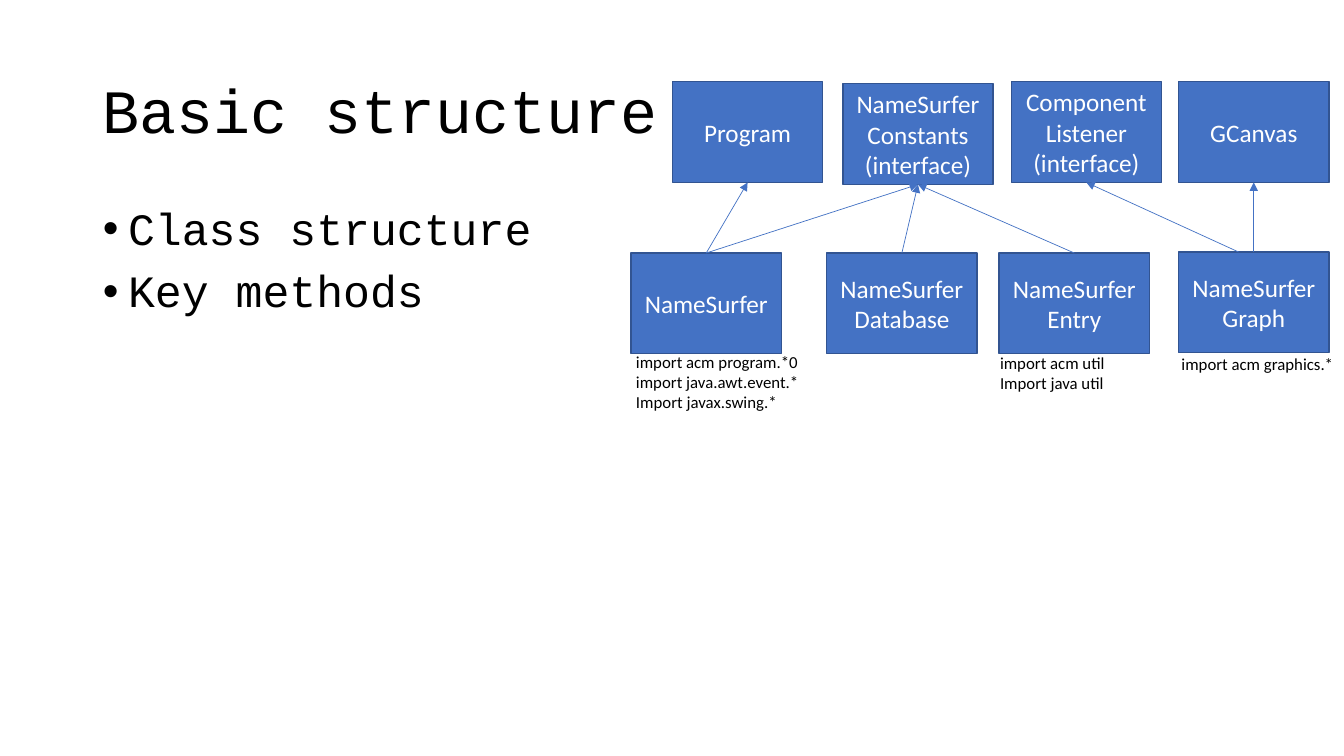
from pptx import Presentation
from pptx.dml.color import RGBColor
from pptx.enum.shapes import MSO_CONNECTOR as Conn, MSO_SHAPE as Shape
from pptx.enum.text import MSO_ANCHOR as Anchor, MSO_AUTO_SIZE as Auto, PP_ALIGN as Align
from pptx.oxml.ns import qn
from pptx.util import Inches, Pt
from lxml.etree import SubElement as Sub

BLUE = RGBColor(0x44, 0x72, 0xC4)
EDGE = RGBColor(0x32, 0x54, 0x91)
WHITE = RGBColor(255, 255, 255)
BLACK = RGBColor(0, 0, 0)
BOX_W, BOX_H = 1.49, 1
NOTE_W, NOTE_LINE = 2.73, 0.2

# Name, left, top
PARENTS = [
    ("Program", 6.67, 0.81),
    ("NameSurferConstants\n(interface)", 8.36, 0.83),
    ("ComponentListener\n(interface)", 10.03, 0.81),
    ("GCanvas", 11.69, 0.81),
]
CLASSES = [
    ("NameSurfer", 6.26, 2.51),
    ("NameSurferDatabase", 8.2, 2.51),
    ("NameSurferEntry", 9.91, 2.51),
    ("NameSurferGraph", 11.69, 2.5),
]
# Class index, parent index, shift of the start from the box centre
LINKS = [(0, 0, 0), (0, 1, 0), (1, 1, 0), (2, 1, 0), (3, 2, -0.15), (3, 3, 0)]
IMPORTS = [
    ("import acm program.*0\nimport java.awt.event.*\nImport javax.swing.*", 6.21, 3.44),
    ("import acm util\nImport java util", 9.82, 3.45),
    ("import acm graphics.*", 11.62, 3.46),
]


def style(frame, font, size, color, align=Align.LEFT):
    for para in frame.paragraphs:
        para.alignment = align
        para.font.name = font
        para.font.size = Pt(size)
        para.font.color.rgb = color


def fill_holder(holder, text, size, top, height):
    holder.left, holder.top = Inches(0.92), Inches(top)
    holder.width, holder.height = Inches(11.5), Inches(height)
    frame = holder.text_frame
    frame.text = text
    frame.auto_size = Auto.NONE
    style(frame, "Courier New", size, BLACK)
    for para in frame.paragraphs:
        para.line_spacing = 0.9
    return frame


def add_list(holder, text):
    frame = fill_holder(holder, text, 32, 2, 4.76)
    for para in frame.paragraphs:
        para.space_before = Pt(10)
        props = para._p.get_or_add_pPr()
        props.set("marL", str(Inches(0.25)))
        props.set("indent", str(Inches(-0.25)))
        Sub(props, qn("a:buFont"), typeface="Arial")
        Sub(props, qn("a:buChar"), char="•")


def add_box(slide, text, left, top):
    box = slide.shapes.add_shape(Shape.RECTANGLE, Inches(left), Inches(top),
                                 Inches(BOX_W), Inches(BOX_H))
    box.shadow.inherit = False
    box.fill.solid()
    box.fill.fore_color.rgb = BLUE
    box.line.color.rgb = EDGE
    box.line.width = Pt(1)
    frame = box.text_frame
    frame.text = text
    frame.word_wrap = True
    frame.vertical_anchor = Anchor.MIDDLE
    style(frame, "Calibri", 18, WHITE, Align.CENTER)
    return box


def add_link(slide, child, parent, shift):
    start = child.left + child.width // 2 + Inches(shift)
    link = slide.shapes.add_connector(Conn.STRAIGHT, start, child.top, start, child.top)
    if not shift:
        link.begin_connect(child, 0)
    link.end_connect(parent, 2)
    link.line.color.rgb = BLUE
    link.line.width = Pt(0.5)
    Sub(link.line._get_or_add_ln(), qn("a:tailEnd"), type="triangle")
    Sub(link._element.spPr, qn("a:effectLst"))


def add_note(slide, text, left, top):
    height = 0.1 + NOTE_LINE * len(text.split("\n"))
    note = slide.shapes.add_textbox(Inches(left), Inches(top),
                                    Inches(NOTE_W), Inches(height))
    frame = note.text_frame
    frame.text = text
    frame.word_wrap = True
    frame.auto_size = Auto.SHAPE_TO_FIT_TEXT
    style(frame, "Calibri", 12, BLACK)


def main():
    deck = Presentation()
    deck.slide_width, deck.slide_height = Inches(13.33), Inches(7.5)
    slide = deck.slides.add_slide(deck.slide_layouts[1])

    # Title and list
    title, body = slide.placeholders
    frame = fill_holder(title, "Basic structure", 44, 0.4, 1.45)
    frame.vertical_anchor = Anchor.MIDDLE
    add_list(body, "Class structure\nKey methods")

    # Class diagram
    parents = [add_box(slide, *spec_row) for spec_row in PARENTS]
    classes = [add_box(slide, *spec_row) for spec_row in CLASSES]
    for child, parent, shift in LINKS:
        add_link(slide, classes[child], parents[parent], shift)

    # Imports under the classes
    for note in IMPORTS:
        add_note(slide, *note)

    deck.save("out.pptx")


main()
